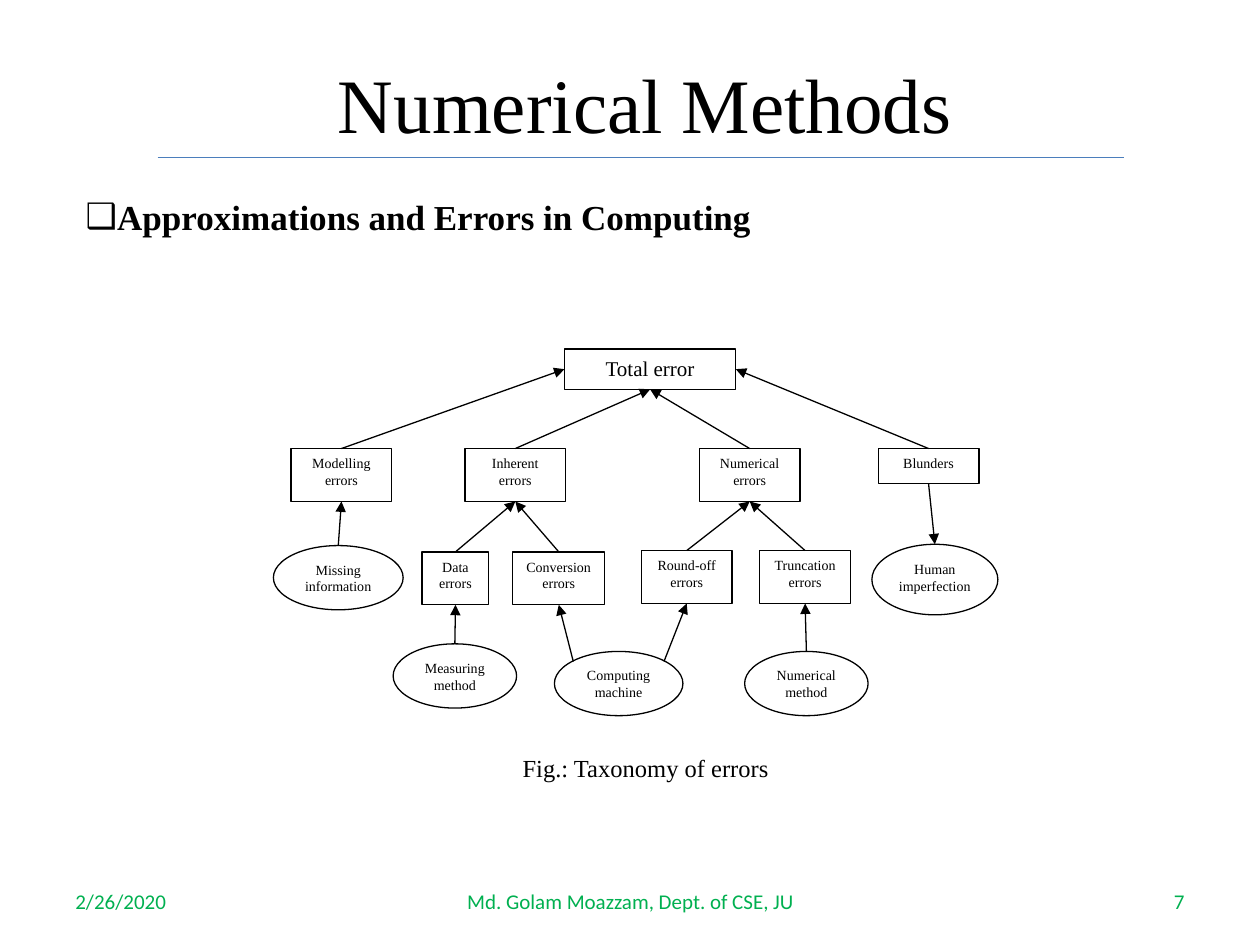
from collections import namedtuple

from lxml.etree import SubElement
from pptx import Presentation
from pptx.dml.color import RGBColor
from pptx.enum.shapes import MSO_CONNECTOR, MSO_SHAPE
from pptx.enum.text import MSO_ANCHOR, PP_ALIGN
from pptx.oxml.ns import qn
from pptx.util import Inches, Pt

BLACK = RGBColor(0x00, 0x00, 0x00)
GREEN = RGBColor(0x00, 0xB0, 0x50)
RULE_BLUE = RGBColor(0x4B, 0x7E, 0xBC)
SERIF = "Times New Roman"
SANS = "Calibri"
TOP, LEFT, BOTTOM, RIGHT = range(4)

Box = namedtuple("Box", "left top width height")

# Name: text, left, top, width, height (inches inside the diagram), text size
BOXES = {
    "total": ("Total error", 2.31, 0, 1.36, 0.32, 12),
    "modelling": ("Modelling errors", 0.14, 0.79, 0.8, 0.42, 8),
    "inherent": ("Inherent errors", 1.52, 0.79, 0.8, 0.42, 8),
    "numerical": ("Numerical errors", 3.38, 0.79, 0.8, 0.42, 8),
    "blunders": ("Blunders", 4.8, 0.79, 0.8, 0.28, 8),
    "data": ("Data errors", 1.18, 1.61, 0.53, 0.42, 8),
    "conversion": ("Conversion\nerrors", 1.9, 1.61, 0.73, 0.42, 8),
    "round-off": ("Round-off\nerrors", 2.92, 1.6, 0.72, 0.42, 8),
    "truncation": ("Truncation\verrors", 3.86, 1.6, 0.72, 0.42, 8),
}
CAUSES = {
    "information": ("Missing information", 0, 1.56, 1.03, 0.51, 8),
    "human": ("Human imperfection", 4.75, 1.55, 1, 0.56, 8),
    "measuring": ("Measuring\nmethod", 0.95, 2.34, 0.98, 0.51, 8),
    "machine": ("Computing machine", 2.23, 2.4, 1.02, 0.51, 8),
    "method": ("Numerical method", 3.74, 2.4, 0.98, 0.51, 8),
}
# From, side, to, side
ARROWS = [
    ("modelling", TOP, "total", LEFT),
    ("inherent", TOP, "total", BOTTOM),
    ("numerical", TOP, "total", BOTTOM),
    ("blunders", TOP, "total", RIGHT),
    ("blunders", BOTTOM, "human", TOP),
    ("information", TOP, "modelling", BOTTOM),
    ("data", TOP, "inherent", BOTTOM),
    ("conversion", TOP, "inherent", BOTTOM),
    ("round-off", TOP, "numerical", BOTTOM),
    ("truncation", TOP, "numerical", BOTTOM),
    ("measuring", TOP, "data", BOTTOM),
    ("method", TOP, "truncation", BOTTOM),
]
# Start point on the shoulder of the machine ellipse, end box
MACHINE_ARROWS = [(2.38, 2.48, "conversion"), (3.1, 2.48, "round-off")]


def place(shape, box):
    shape.left, shape.top, shape.width, shape.height = map(Inches, box)


def write(shape, text, size, color=BLACK, font=SERIF, align=PP_ALIGN.CENTER,
          anchor=MSO_ANCHOR.TOP, bold=False):
    frame = shape.text_frame
    frame.text = text
    frame.word_wrap = True
    frame.vertical_anchor = anchor
    for para in frame.paragraphs:
        para.alignment = align
        para.font.size = Pt(size)
        para.font.name = font
        para.font.bold = bold
        para.font.color.rgb = color


def add_line(page, start, end, color):
    line = page.shapes.add_connector(MSO_CONNECTOR.STRAIGHT, *map(Inches, start + end))
    line.line.color.rgb = color
    line.line.width = Pt(0.75)
    SubElement(line._element.spPr, qn("a:effectLst"))
    return line


def add_arrow(page, start=(0, 0)):
    arrow = add_line(page, start, (0, 0), BLACK)
    SubElement(arrow.line._get_or_add_ln(), qn("a:tailEnd"), type="triangle")
    return arrow


def add_node(page, kind, box, text, size):
    node = page.shapes.add_shape(kind, *map(Inches, box))
    node.shadow.inherit = False
    node.fill.background()
    node.line.color.rgb = BLACK
    node.line.width = Pt(0.75)
    write(node, text, size)
    if kind == MSO_SHAPE.OVAL:
        node.text_frame.margin_left = node.text_frame.margin_right = Inches(0.05)
    return node


def add_heading(page, box):
    title = page.shapes.title
    place(title, box)
    write(title, "Numerical Methods", 44, anchor=MSO_ANCHOR.MIDDLE)
    # Rule under the title
    add_line(page, (1.25, box.top + box.height), (8.92, box.top + box.height), RULE_BLUE)


def add_topic(page, box):
    body = page.placeholders[1]
    place(body, box)
    write(body, "Approximations and Errors in Computing", 20,
          align=PP_ALIGN.LEFT, bold=True)
    # Hollow square bullet
    indent = Inches(0.25)
    properties = body.text_frame.paragraphs[0]._p.get_or_add_pPr()
    properties.set("marL", str(indent))
    properties.set("indent", str(-indent))
    SubElement(properties, qn("a:buFont"), typeface="Arial")
    SubElement(properties, qn("a:buChar"), char="❑")
    # Bullet settings come before the run defaults
    properties.append(properties.find(qn("a:defRPr")))


def add_taxonomy(page, box):
    nodes = {}
    for kind, group in ((MSO_SHAPE.RECTANGLE, BOXES), (MSO_SHAPE.OVAL, CAUSES)):
        for name, (text, left, top, width, height, size) in group.items():
            spot = Box(box.left + left, box.top + top, width, height)
            nodes[name] = add_node(page, kind, spot, text, size)

    # Arrows between the nodes
    for source, source_side, target, target_side in ARROWS:
        arrow = add_arrow(page)
        arrow.begin_connect(nodes[source], source_side)
        arrow.end_connect(nodes[target], target_side)
    for left, top, target in MACHINE_ARROWS:
        arrow = add_arrow(page, (box.left + left, box.top + top))
        arrow.end_connect(nodes[target], BOTTOM)

    # Caption
    caption = page.shapes.add_textbox(
        *map(Inches, (box.left + 1.77, box.top + 3.16, 2.37, 0.32)))
    write(caption, "Fig.: Taxonomy of errors", 14)


def add_footer(page, box):
    parts = [
        ("2/26/2020", 0, 2.33, PP_ALIGN.LEFT),
        ("Md. Golam Moazzam, Dept. of CSE, JU", 2.92, 3.17, PP_ALIGN.CENTER),
        ("7", 6.67, 2.33, PP_ALIGN.RIGHT),
    ]
    for text, left, width, align in parts:
        part = page.shapes.add_textbox(
            *map(Inches, (box.left + left, box.top, width, box.height)))
        write(part, text, 12, GREEN, SANS, align, MSO_ANCHOR.MIDDLE)


def main():
    deck = Presentation()
    deck.slide_width, deck.slide_height = Inches(10), Inches(7.5)
    page = deck.slides.add_slide(deck.slide_layouts[1])
    add_heading(page, Box(1.33, 0.38, 7.58, 0.87))
    add_topic(page, Box(0.58, 1.5, 9, 5.25))
    add_taxonomy(page, Box(2.17, 2.77, 5.75, 3.48))
    add_footer(page, Box(0.5, 6.95, 9, 0.4))
    deck.save("out.pptx")


if __name__ == "__main__":
    main()
